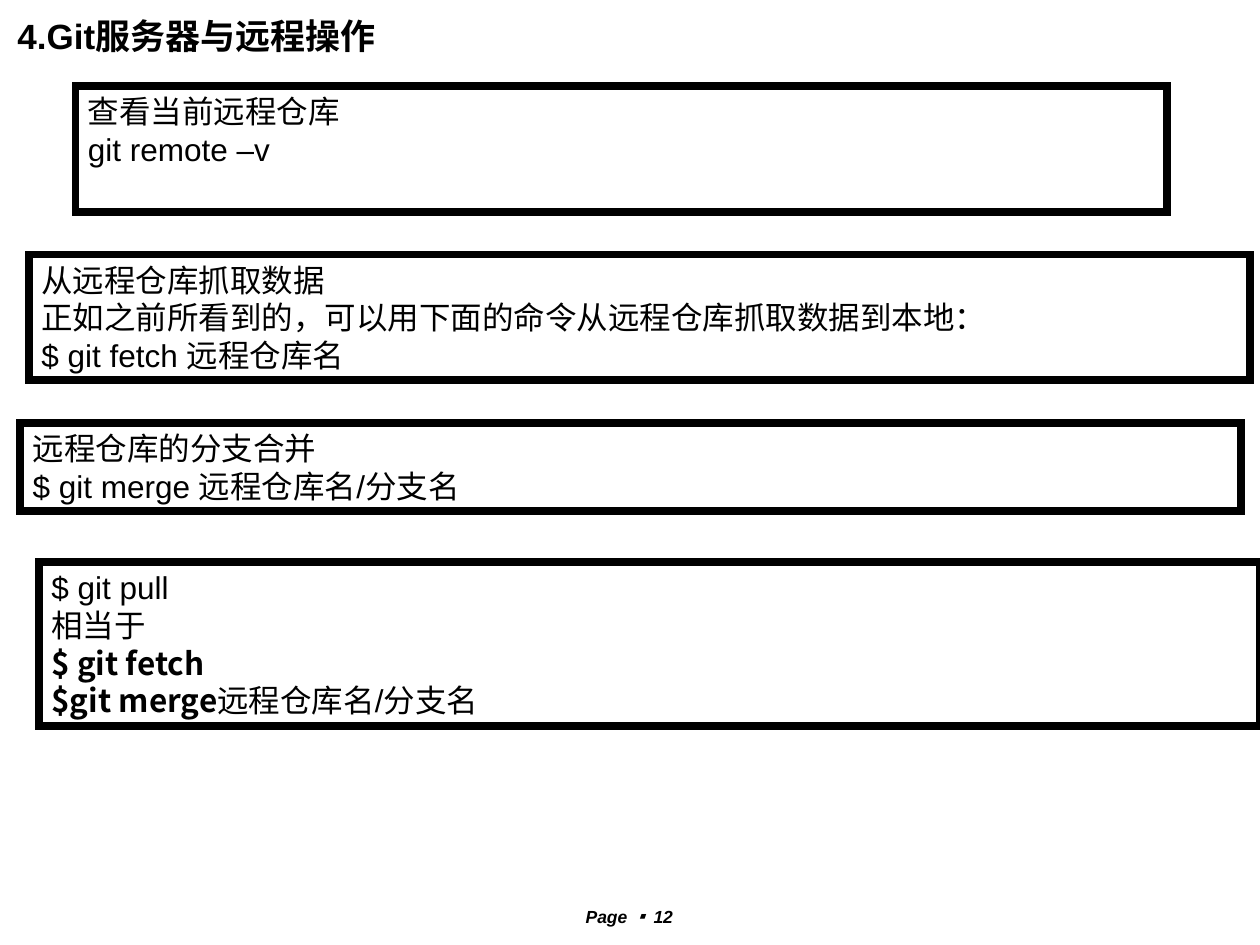
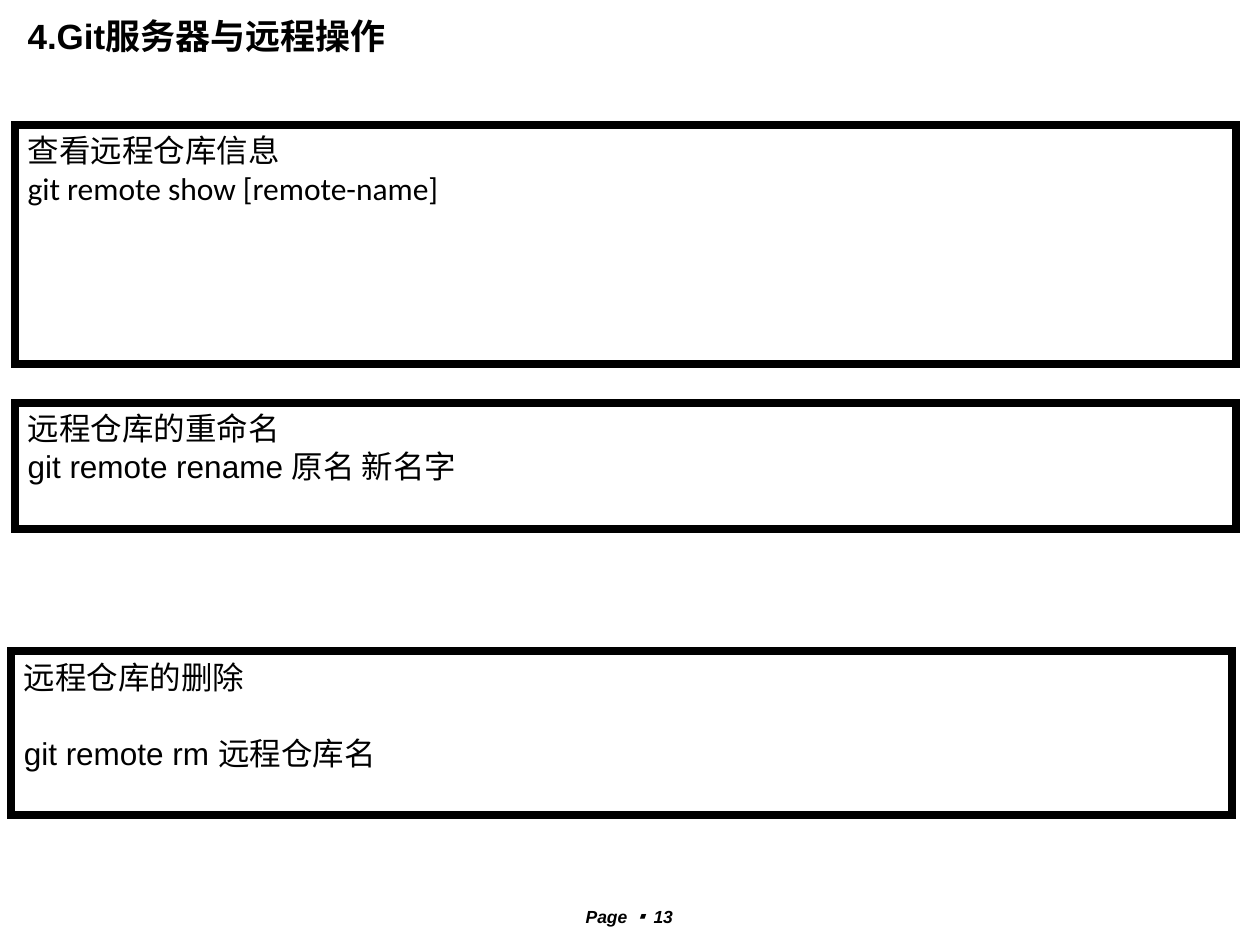
from lxml.etree import SubElement
from pptx import Presentation
from pptx.dml.color import RGBColor
from pptx.enum.shapes import MSO_SHAPE
from pptx.enum.text import MSO_ANCHOR, PP_ALIGN
from pptx.oxml.ns import qn
from pptx.util import Inches, Pt

COLORS = {"ink": "000000"}
LATIN, CHINESE, SYMBOL = "Arial", "Noto Sans CJK SC", "Noto Sans CJK JP"
TITLE = "4.Git服务器与远程操作"
FIRST_PAGE = 12
BOX_WIDTH = 9.69
BLANK_LINE = Pt(22)


def color(name):
    return RGBColor.from_string(COLORS[name])


def add_run(paragraph, text, size, font=LATIN, bold=False, italic=False):
    run = paragraph.add_run()
    run.text = text
    run.font.size = Pt(size)
    run.font.name = font
    run.font.bold = bold
    run.font.italic = italic
    run.font.color.rgb = color("ink")
    east_asian = SubElement(run.font._element, qn("a:ea"))
    east_asian.set("typeface", SYMBOL if font == SYMBOL else CHINESE)


def add_text_box(slide, left, top, width, height):
    text_frame = slide.shapes.add_textbox(
        Inches(left), Inches(top), Inches(width), Inches(height)).text_frame
    text_frame.word_wrap = True
    return text_frame


def add_title(slide, left):
    text_frame = add_text_box(slide, left, 0.05, 3.31, 0.47)
    text_frame.vertical_anchor = MSO_ANCHOR.MIDDLE
    add_run(text_frame.paragraphs[0], TITLE, 20, bold=True)


def add_footer(slide, page):
    paragraph = add_text_box(slide, 4.21, 7.14, 1.57, 0.22).paragraphs[0]
    paragraph.alignment = PP_ALIGN.CENTER
    for text, font in (("Page ", LATIN), ("▪ ", SYMBOL), (str(page), LATIN)):
        add_run(paragraph, text, 10, font, bold=True, italic=True)


def add_command_box(slide, left, top, height, lines, width=BOX_WIDTH):
    shape = slide.shapes.add_shape(
        MSO_SHAPE.RECTANGLE, Inches(left), Inches(top), Inches(width), Inches(height))
    shape.shadow.inherit = False
    shape.fill.background()
    shape.line.color.rgb = color("ink")
    shape.line.width = Pt(4.5)
    SubElement(shape.line._get_or_add_ln(), qn("a:miter")).set("lim", "800000")
    text_frame = shape.text_frame
    text_frame.word_wrap = True
    text_frame.vertical_anchor = MSO_ANCHOR.TOP
    for index, line in enumerate(lines):
        paragraph = text_frame.add_paragraph() if index else text_frame.paragraphs[0]
        paragraph.alignment = PP_ALIGN.LEFT
        for text, font, bold in [(line, LATIN, False)] if isinstance(line, str) else line:
            add_run(paragraph, text, 18, font, bold)
    return text_frame


def build_fetch_slide(slide):
    add_title(slide, 0.04)
    add_command_box(slide, 0.6, 0.68, 1, ["查看当前远程仓库", "git remote –v"], width=8.66)
    add_command_box(slide, 0.23, 2.02, 1, [
        "从远程仓库抓取数据",
        "正如之前所看到的，可以用下面的命令从远程仓库抓取数据到本地：",
        "$ git fetch 远程仓库名",
    ])
    add_command_box(slide, 0.16, 3.36, 0.7, ["远程仓库的分支合并", "$ git merge 远程仓库名/分支名"])
    add_command_box(slide, 0.31, 4.46, 1.3, [
        "$ git pull",
        "相当于",
        [("$ git fetch", CHINESE, True)],
        [("$git merge", CHINESE, True), ("远程仓库名/分支名", LATIN, False)],
    ])


def build_manage_slide(slide):
    add_title(slide, 0.12)
    add_command_box(slide, 0.12, 0.99, 1.9, [
        "查看远程仓库信息",
        [("git remote show [remote-name]", "Calibri", False)],
    ])
    add_command_box(slide, 0.12, 3.2, 1, ["远程仓库的重命名", "git remote rename 原名 新名字"])
    removal = add_command_box(slide, 0.09, 5.17, 1.3, ["远程仓库的删除", "git remote rm 远程仓库名"])
    removal.paragraphs[1].space_before = BLANK_LINE


def main():
    presentation = Presentation()
    presentation.slide_width = Inches(10)
    presentation.slide_height = Inches(7.5)
    for page, build in enumerate((build_fetch_slide, build_manage_slide), FIRST_PAGE):
        slide = presentation.slides.add_slide(presentation.slide_layouts[6])
        add_footer(slide, page)
        build(slide)
    presentation.save("out.pptx")


if __name__ == "__main__":
    main()
